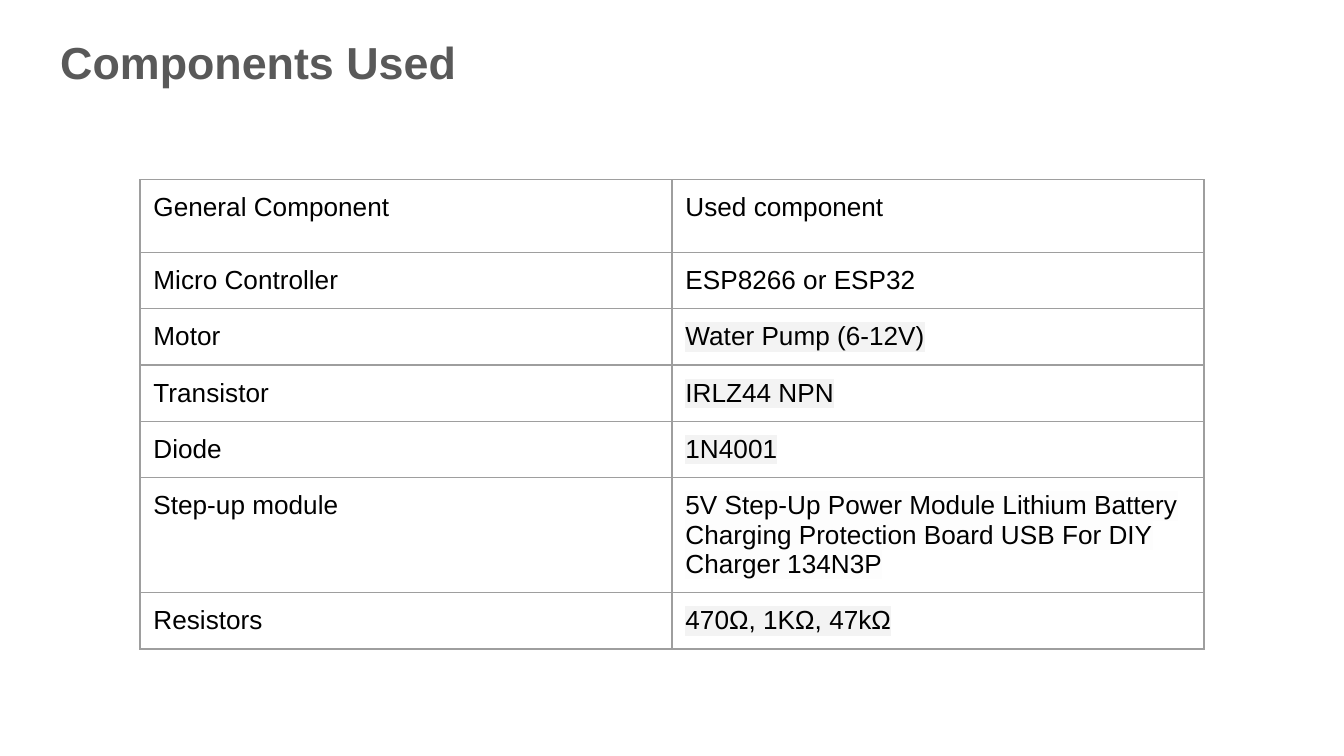
from lxml.etree import SubElement
from pptx import Presentation
from pptx.dml.color import RGBColor
from pptx.enum.text import MSO_ANCHOR, MSO_AUTO_SIZE
from pptx.oxml.ns import qn
from pptx.util import Pt

BLACK = RGBColor(0x00, 0x00, 0x00)
WHITE = RGBColor(0xFF, 0xFF, 0xFF)
HEADING_GREY = RGBColor(0x59, 0x59, 0x59)
BORDER_GREY = RGBColor(0x9E, 0x9E, 0x9E)
PALE_GREY = RGBColor(0xF3, 0xF3, 0xF3)
NEAR_WHITE = RGBColor(0xFD, 0xFD, 0xFD)

COMPONENTS = [
    ("General Component", "Used component", None),
    ("Micro Controller", "ESP8266 or ESP32", None),
    ("Motor", "Water Pump (6-12V)", PALE_GREY),
    ("Transistor", "IRLZ44 NPN", PALE_GREY),
    ("Diode", "1N4001", PALE_GREY),
    (
        "Step-up module",
        "5V Step-Up Power Module Lithium Battery Charging "
        "Protection Board USB For DIY Charger 134N3P",
        NEAR_WHITE,
    ),
    ("Resistors", "470Ω, 1KΩ, 47kΩ", PALE_GREY),
]


class SlideBuilder:
    font_name = "Arial"
    inset = Pt(7.2)
    border_width = Pt(0.75)

    def __init__(self, slide):
        self.slide = slide
        fill = slide.background.fill
        fill.solid()
        fill.fore_color.rgb = WHITE

    def set_insets(self, holder):
        holder.margin_left = holder.margin_right = self.inset
        holder.margin_top = holder.margin_bottom = self.inset

    def set_words(self, frame, words, size, color, bold=False, highlight=None):
        frame.text = words
        run = frame.paragraphs[0].runs[0]
        run.font.size = Pt(size)
        run.font.bold = bold
        run.font.color.rgb = color
        run.font.name = self.font_name
        if highlight is not None:
            properties = run._r.get_or_add_rPr()
            marker = SubElement(properties, qn("a:highlight"))
            SubElement(marker, qn("a:srgbClr"), val=str(highlight))
            properties.find(qn("a:latin")).addprevious(marker)

    def title(self, words, left, top, width, height):
        heading = self.slide.shapes.add_textbox(Pt(left), Pt(top), Pt(width), Pt(height))
        frame = heading.text_frame
        frame.word_wrap = True
        frame.auto_size = MSO_AUTO_SIZE.SHAPE_TO_FIT_TEXT
        frame.vertical_anchor = MSO_ANCHOR.TOP
        self.set_insets(frame)
        self.set_words(frame, words, 24, HEADING_GREY, bold=True)

    def cell(self, cell, words, highlight=None):
        self.set_insets(cell)
        self.set_words(cell.text_frame, words, 14, BLACK, highlight=highlight)
        properties = cell._tc.get_or_add_tcPr()
        for side in ("a:lnL", "a:lnR", "a:lnT", "a:lnB"):
            border = SubElement(properties, qn(side), w=str(self.border_width))
            paint = SubElement(border, qn("a:solidFill"))
            SubElement(paint, qn("a:srgbClr"), val=str(BORDER_GREY))
        cell.fill.background()

    def component_table(self, entries, left, top, column_width, header_height, row_height):
        heights = [header_height] + [row_height] * (len(entries) - 1)
        table = self.slide.shapes.add_table(
            len(entries), 2, Pt(left), Pt(top), Pt(2 * column_width), Pt(sum(heights))
        ).table
        table.first_row = table.horz_banding = False
        for column in table.columns:
            column.width = Pt(column_width)
        for row, height, (general, used, highlight) in zip(table.rows, heights, entries):
            row.height = Pt(height)
            self.cell(row.cells[0], general)
            self.cell(row.cells[1], used, highlight)


def main():
    deck = Presentation()
    deck.slide_width, deck.slide_height = Pt(720), Pt(405)
    builder = SlideBuilder(deck.slides.add_slide(deck.slide_layouts[6]))
    builder.component_table(COMPONENTS, 75, 96.3, 285, 39, 30)
    builder.title("Components Used", 25.2, 11.5, 669.6, 44)
    deck.save("out.pptx")


if __name__ == "__main__":
    main()
